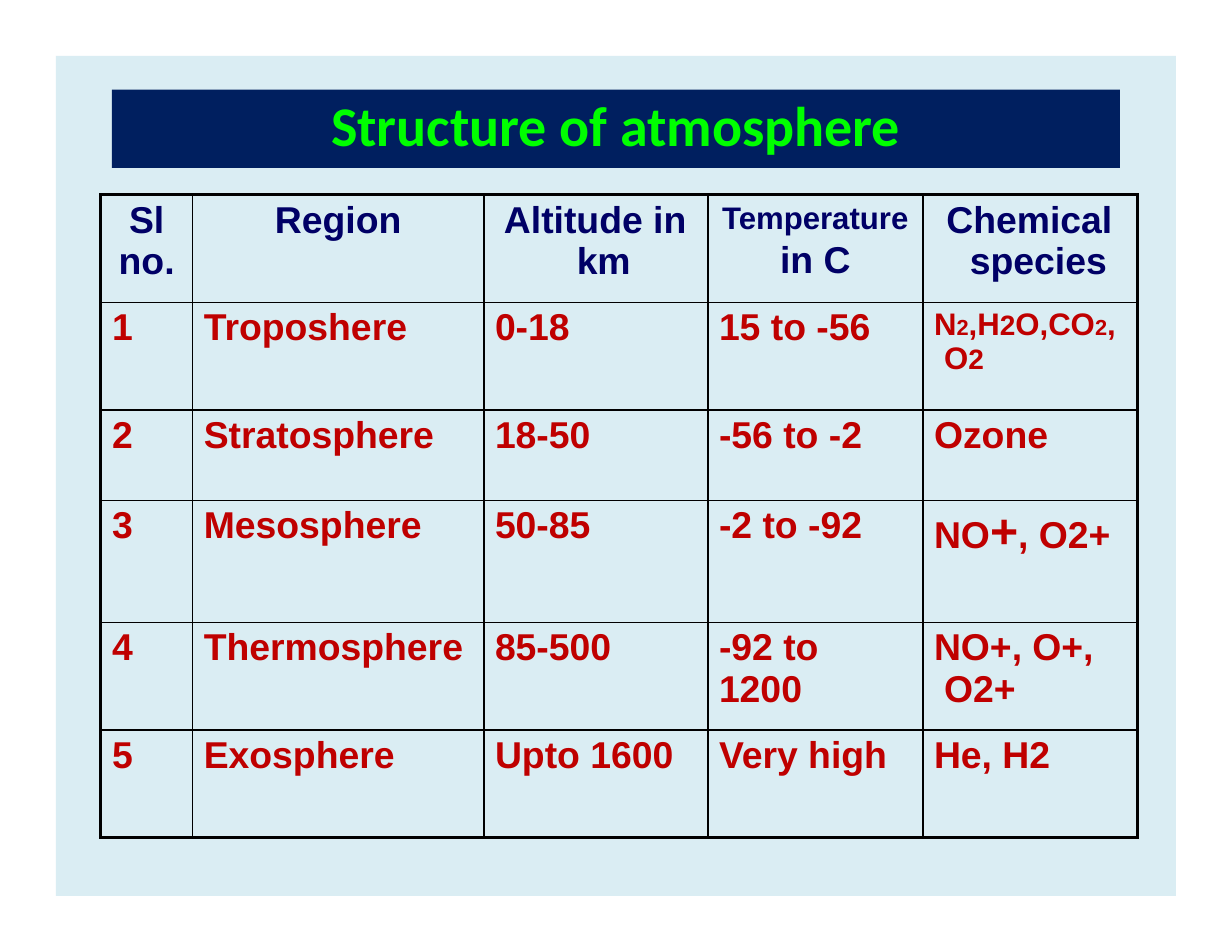
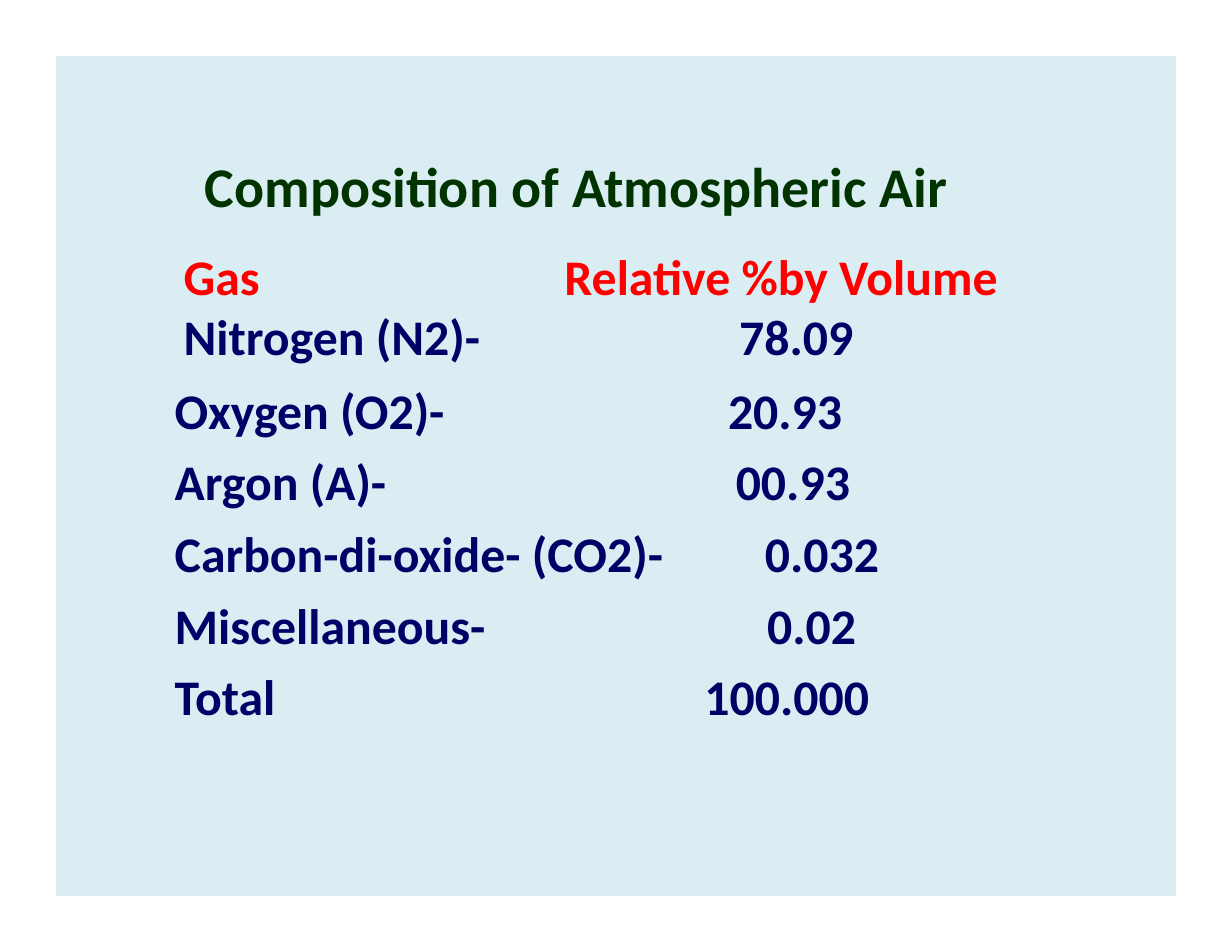
from dataclasses import dataclass

from lxml import etree
from pptx import Presentation
from pptx import util as u
from pptx.dml.color import RGBColor
from pptx.enum import shapes, text
from pptx.oxml import ns

COLORS = {
    "panel": "DAEDF3",
    "band": "001F5F",
    "band_title": "00FF00",
    "plain_title": "003300",
    "navy": "000066",
    "crimson": "BF0000",
    "red": "FF0000",
    "rule": "000000",
}
WIDTH, HEIGHT, MARGIN = 11, 8.5, 0.5
NO_STYLE = "{2D5ABB26-0587-4C30-8999-92F81FD0307C}"
CENTER = text.PP_ALIGN.CENTER

REGION_COLUMNS = [0.82, 2.6, 2, 1.92, 1.92]
REGION_ROWS = [0.96, 0.96, 0.81, 1.09, 0.96, 0.96]
VERTICAL_RULES = [2.25, 1, 1.5, 1.5, 1.5, 2.25]
HORIZONTAL_RULES = [2.25, 1, 1, 1, 1, 1, 2.25]
REGIONS = [
    ("1", "Troposhere", "0-18", "15 to -56",
     [("N", 20), ("2", 14), (",H", 20), ("2", 18), ("O,CO", 20),
      ("2", 14), (", O", 20), ("2", 18)]),
    ("2", "Stratosphere", "18-50", "-56 to -2", "Ozone"),
    ("3", "Mesosphere", "50-85", "-2 to -92",
     [("NO", 24), ("+", 31), (", O2+", 24)]),
    ("4", "Thermosphere", "85-500", "-92 to\n1200", "NO+, O+, O2+"),
    ("5", "Exosphere", "Upto 1600", "Very high", "He, H2"),
]

GAS_COLUMNS = [3.13, 1.44, 2.84]
GAS_ROWS = [0.54, 0.59, 0.64, 0.59, 0.69, 0.64, 0.59]
GASES = [
    ("Gas", "Relative %by Volume", 1, 0.11, 0.38, 0, 36.8),
    ("Nitrogen (N2)-", "78.09", 1, 0.11, 1.94, 0, 36.5),
    ("Oxygen (O2)-", "20.93", 1, 0.03, 1.84, 0.03, None),
    ("Argon (A)-", "00.93", 1, 0.03, 1.91, 0.03, None),
    ("Carbon-di-oxide- (CO2)-", "0.032", 2, 0.03, 0.73, 0.08, None),
    ("Miscellaneous-", "0.02", 2, 0.03, 0.75, 0.03, None),
    ("Total", "100.000", 2, 0.03, 0.19, 0.03, None),
]


@dataclass
class Style:
    font: str
    size: float
    color: str
    align: text.PP_ALIGN = text.PP_ALIGN.LEFT
    indent: float = 0
    first_line: float = 0
    spacing: float | None = None


def rgb(name):
    return RGBColor.from_string(COLORS[name])


def inches(*lengths):
    return [u.Inches(length) for length in lengths]


def set_margins(holder, top):
    holder.margin_left = holder.margin_right = holder.margin_bottom = 0
    holder.margin_top = u.Inches(top)


def style_paragraph(paragraph, style):
    properties = paragraph._p.get_or_add_pPr()
    properties.set("marL", str(u.Inches(style.indent)))
    properties.set("indent", str(u.Inches(style.first_line)))
    paragraph.alignment = style.align
    if style.spacing:
        paragraph.line_spacing = u.Pt(style.spacing)
    font = paragraph.font
    font.name, font.size, font.bold = style.font, u.Pt(style.size), True
    font.color.rgb = rgb(style.color)


def write(frame, content, style):
    if isinstance(content, str):
        frame.text = content
    else:
        for words, size in content:
            run = frame.paragraphs[0].add_run()
            run.text = words
            if size != style.size:
                run.font.size = u.Pt(size)
    for paragraph in frame.paragraphs:
        style_paragraph(paragraph, style)


def add_block(slide, box, fill):
    block = slide.shapes.add_shape(shapes.MSO_SHAPE.RECTANGLE, *inches(*box))
    block.shadow.inherit = False
    block.fill.solid()
    block.fill.fore_color.rgb = rgb(fill)
    block.line.fill.background()
    return block


def add_slide(presentation):
    slide = presentation.slides.add_slide(presentation.slide_layouts[6])
    add_block(slide, (MARGIN, MARGIN, WIDTH - 2 * MARGIN, HEIGHT - 2 * MARGIN), "panel")
    return slide


def write_title(shape, words, color, align=text.PP_ALIGN.LEFT):
    frame = shape.text_frame
    frame.word_wrap = True
    frame.vertical_anchor = text.MSO_ANCHOR.TOP
    set_margins(frame, 0.01)
    write(frame, words, Style("Calibri", 36, color, align))


def add_grid(slide, left, top, columns, rows):
    frame = slide.shapes.add_table(
        len(rows), len(columns), *inches(left, top, sum(columns), sum(rows)))
    table = frame.table
    table.first_row = table.horz_banding = False
    for style_id in frame.element.iter(ns.qn("a:tableStyleId")):
        style_id.text = NO_STYLE
    for column, width in zip(table.columns, columns):
        column.width = u.Inches(width)
    for row, height in zip(table.rows, rows):
        row.height = u.Inches(height)
    return table


def fill_cell(cell, content, style, top):
    set_margins(cell, top)
    cell.fill.solid()
    cell.fill.fore_color.rgb = rgb("panel")
    write(cell.text_frame, content, style)


def rule_cell(cell, row, column):
    properties = cell._tc.get_or_add_tcPr()
    widths = {
        "a:lnL": VERTICAL_RULES[column],
        "a:lnR": VERTICAL_RULES[column + 1],
        "a:lnT": HORIZONTAL_RULES[row],
        "a:lnB": HORIZONTAL_RULES[row + 1],
    }
    for tag, width in widths.items():
        line = etree.SubElement(properties, ns.qn(tag), w=str(u.Pt(width)))
        fill = etree.SubElement(line, ns.qn("a:solidFill"))
        etree.SubElement(fill, ns.qn("a:srgbClr"), val=COLORS["rule"])


def header_style(**options):
    return Style("Arial", 24, "navy", **options)


def add_region_table(slide):
    table = add_grid(slide, 0.9, 1.74, REGION_COLUMNS, REGION_ROWS)
    centered = header_style(align=CENTER)
    headers = [
        ("Sl no.", centered),
        ("Region", centered),
        ("Altitude in km", header_style(indent=0.83, first_line=-0.65)),
        ("Temperature\nin C", centered),
        ("Chemical species", header_style(indent=0.42, first_line=-0.21)),
    ]
    plain = Style("Arial", 24, "crimson", indent=0.1)
    species = Style("Arial", 24, "crimson", indent=0.19, first_line=-0.09)
    body = [list(zip(region, [plain] * 4 + [species])) for region in REGIONS]
    for row, entries in enumerate([headers] + body):
        for column, (content, style) in enumerate(entries):
            cell = table.cell(row, column)
            rule_cell(cell, row, column)
            fill_cell(cell, content, style, 0.04)
    temperature, unit = table.cell(0, 3).text_frame.paragraphs
    temperature.font.size = u.Pt(20)
    temperature.line_spacing, unit.line_spacing = u.Pt(23.9), u.Pt(28.7)


def add_gas_table(slide):
    table = add_grid(slide, 1.53, 2.25, GAS_COLUMNS, GAS_ROWS)
    for row, (gas, share, split, gas_indent, share_indent, top, spacing) in enumerate(GASES):
        color = "navy" if row else "red"
        if split == 1:
            table.cell(row, 1).merge(table.cell(row, 2))
        else:
            table.cell(row, 0).merge(table.cell(row, 1))
        for column, words, indent in ((0, gas, gas_indent), (split, share, share_indent)):
            style = Style("Calibri", 32, color, indent=indent, spacing=spacing)
            fill_cell(table.cell(row, column), words, style, top)


def main():
    presentation = Presentation()
    presentation.slide_width, presentation.slide_height = inches(WIDTH, HEIGHT)

    structure = add_slide(presentation)
    band = add_block(structure, (1, 0.8, 9, 0.7), "band")
    write_title(band, "Structure of atmosphere", "band_title", CENTER)
    add_region_table(structure)

    composition = add_slide(presentation)
    title = composition.shapes.add_textbox(*inches(1.83, 1.34, 6.66, 0.63))
    write_title(title, "Composition of Atmospheric Air", "plain_title")
    add_gas_table(composition)

    presentation.save("out.pptx")


if __name__ == "__main__":
    main()
